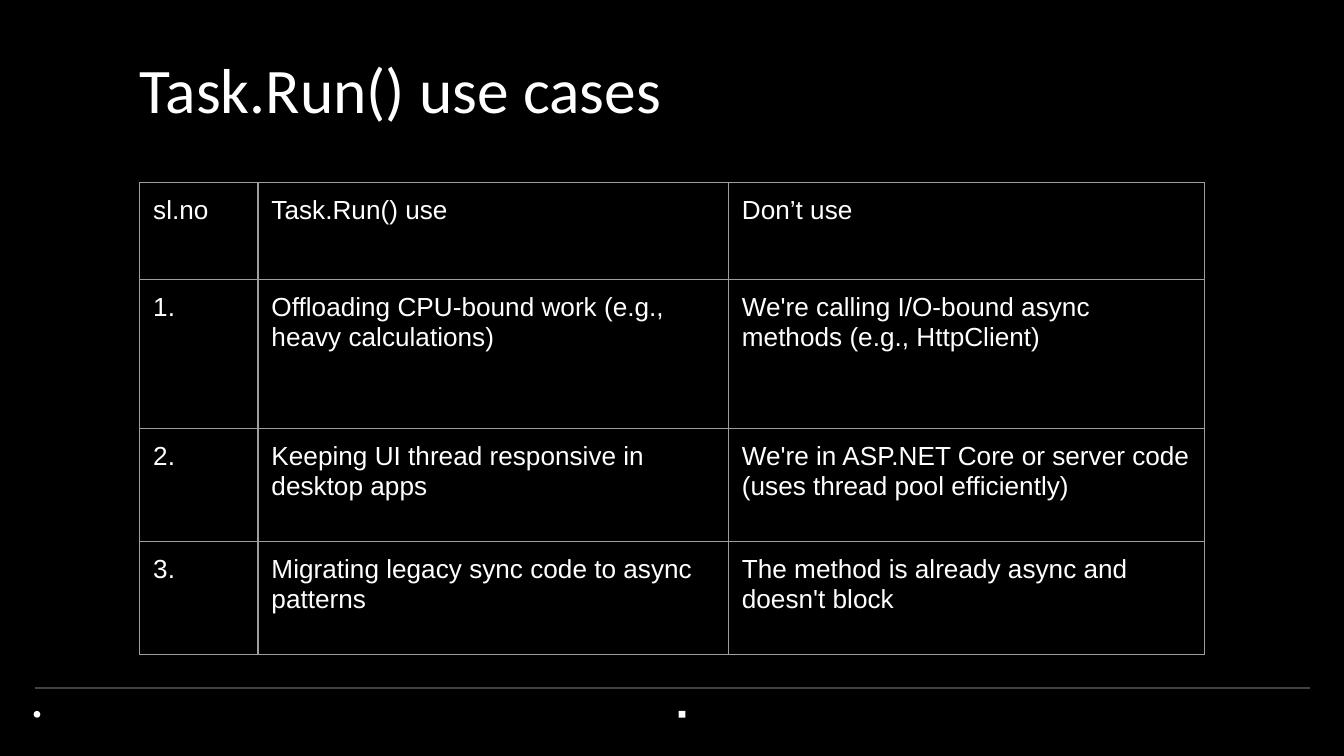
import pptx
import pptx.dml.color
import pptx.enum.shapes
import pptx.enum.text
import pptx.oxml.ns
import pptx.util
from lxml import etree

Inches = pptx.util.Inches
Pt = pptx.util.Pt
qn = pptx.oxml.ns.qn

HEADING = "Task.Run() use cases"
USE_CASES = [
    ("sl.no", "Task.Run() use", "Don’t use"),
    ("1.", "Offloading CPU-bound work (e.g., heavy calculations)",
     "We're calling I/O-bound async methods (e.g., HttpClient)"),
    ("2.", "Keeping UI thread responsive in desktop apps",
     "We're in ASP.NET Core or server code (uses thread pool efficiently)"),
    ("3.", "Migrating legacy sync code to async patterns",
     "The method is already async and doesn't block"),
]
COLUMN_WIDTHS = [0.88, 3.5, 3.54]
ROW_HEIGHTS = [0.72, 1.11, 0.84, 0.84]
FOOTER_MARKS = [
    (pptx.enum.shapes.MSO_SHAPE.OVAL, 0.25),
    (pptx.enum.shapes.MSO_SHAPE.RECTANGLE, 5.05),
]
LEFT = 1.04
WHITE, BLACK, GRID, RULE = "FFFFFF", "000000", "9E9E9E", "434343"


def paint(color_format, hex_color):
    color_format.rgb = pptx.dml.color.RGBColor.from_string(hex_color)


def paint_fill(fill, hex_color):
    fill.solid()
    paint(fill.fore_color, hex_color)


def style_font(font, name, size):
    font.name = name
    font.size = Pt(size)
    paint(font.color, WHITE)


def set_margins(target, inches):
    for side in ("left", "top", "right", "bottom"):
        setattr(target, f"margin_{side}", Inches(inches))


def add_borders(cell):
    properties = cell._tc.get_or_add_tcPr()
    for edge in ("a:lnL", "a:lnR", "a:lnT", "a:lnB"):
        border = etree.SubElement(properties, qn(edge), w=str(Pt(0.75)))
        color = etree.SubElement(border, qn("a:solidFill"))
        etree.SubElement(color, qn("a:srgbClr"), val=GRID)


def add_footer(slide):
    rule = slide.shapes.add_connector(
        pptx.enum.shapes.MSO_CONNECTOR.STRAIGHT,
        Inches(0.26), Inches(5.12), Inches(9.75), Inches(5.12))
    rule.line.width = Pt(0.75)
    paint(rule.line.color, RULE)
    etree.SubElement(rule._element.spPr, qn("a:effectLst"))
    for preset, left in FOOTER_MARKS:
        mark = slide.shapes.add_shape(
            preset, Inches(left), Inches(5.29), Inches(0.05), Inches(0.05))
        mark.shadow.inherit = False
        paint_fill(mark.fill, WHITE)
        mark.line.fill.background()


def add_heading(slide):
    heading = slide.shapes.title
    heading.left, heading.top = Inches(LEFT), Inches(0.25)
    heading.width, heading.height = Inches(7.99), Inches(0.69)
    frame = heading.text_frame
    frame.text = HEADING
    frame.vertical_anchor = pptx.enum.text.MSO_ANCHOR.BOTTOM
    set_margins(frame, 0)
    frame.paragraphs[0].alignment = pptx.enum.text.PP_ALIGN.LEFT
    style_font(frame.paragraphs[0].font, "Calibri", 34)


def add_use_cases(slide):
    table = slide.shapes.add_table(
        len(USE_CASES), len(COLUMN_WIDTHS), Inches(LEFT), Inches(1.36),
        Inches(sum(COLUMN_WIDTHS)), Inches(sum(ROW_HEIGHTS))).table
    table.first_row = False
    table.horz_banding = False
    for column, width in zip(table.columns, COLUMN_WIDTHS):
        column.width = Inches(width)
    for row, height, texts in zip(table.rows, ROW_HEIGHTS, USE_CASES):
        row.height = Inches(height)
        for cell, text in zip(row.cells, texts):
            cell.text = text
            set_margins(cell, 0.1)
            add_borders(cell)
            cell.fill.background()
            style_font(cell.text_frame.paragraphs[0].font, "Arial", 14)


def main():
    deck = pptx.Presentation()
    deck.slide_width = Inches(10)
    deck.slide_height = deck.slide_width * 9 // 16
    slide = deck.slides.add_slide(deck.slide_layouts.get_by_name("Title Only"))
    paint_fill(slide.background.fill, BLACK)
    add_footer(slide)
    add_heading(slide)
    add_use_cases(slide)
    deck.save("out.pptx")


if __name__ == "__main__":
    main()
